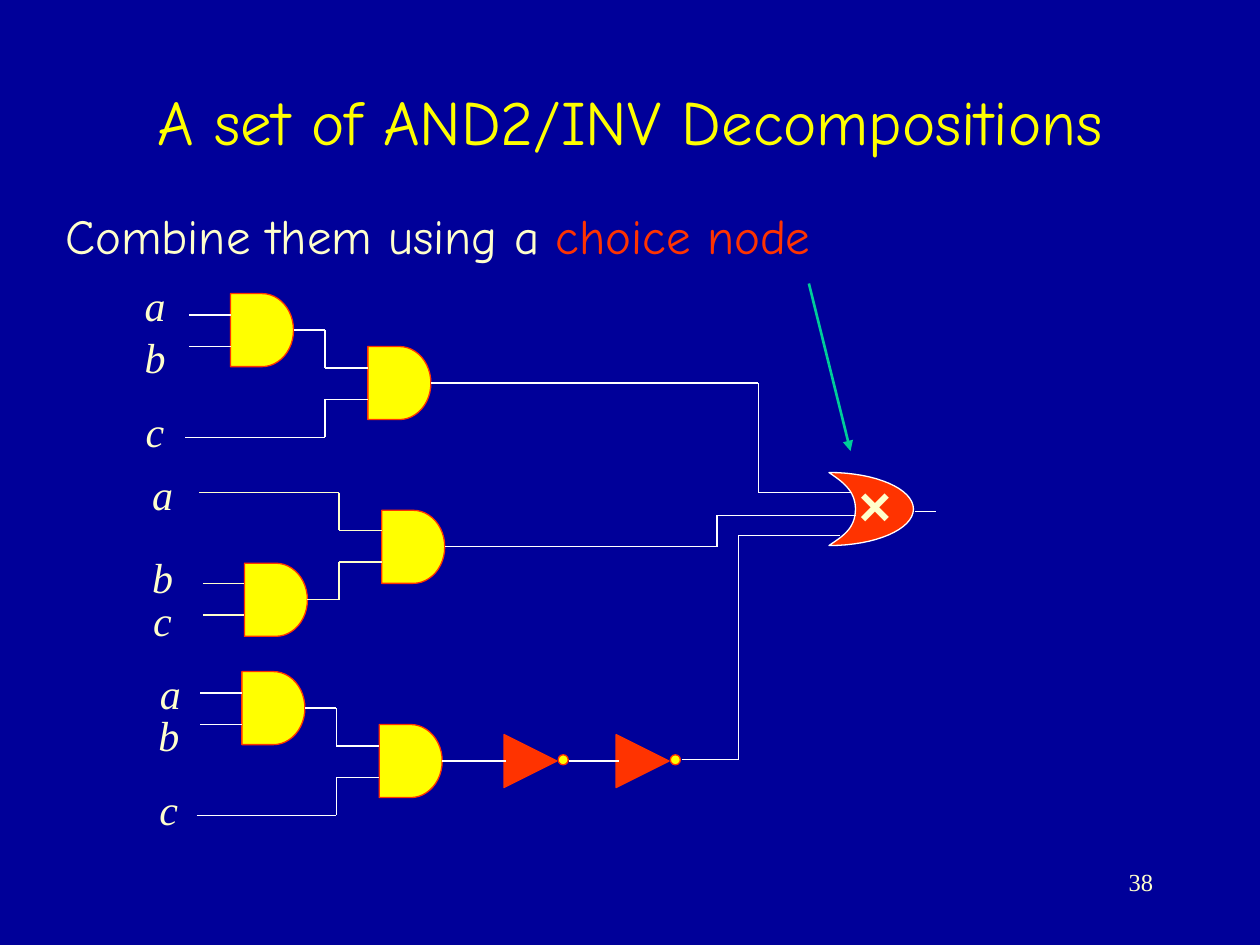
from itertools import pairwise

from lxml.etree import SubElement
from pptx import Presentation
from pptx.dml.color import RGBColor as RGB
from pptx.enum.shapes import MSO_CONNECTOR as Link, MSO_SHAPE as Kind
from pptx.enum.text import MSO_ANCHOR as Anchor, PP_ALIGN as Align
from pptx.oxml.ns import qn
from pptx.util import Inches, Pt


class Theme:
    back = RGB(0x00, 0x00, 0x99)
    yellow = RGB(0xFF, 0xFF, 0x00)
    cream = RGB(0xFF, 0xFF, 0xCC)
    red = RGB(0xFF, 0x33, 0x00)
    white = RGB(0xFF, 0xFF, 0xFF)
    green = RGB(0x00, 0xCC, 0x99)
    comic, serif, sans = "Comic Neue", "Times New Roman", "Arial"
    title, body, label, cross, number = Pt(36), Pt(28), Pt(24), Pt(32), Pt(14)
    thin, bold = Pt(0.75), Pt(1.5)


prs = Presentation()
prs.slide_width, prs.slide_height = Inches(10), Inches(7.5)
slide = prs.slides.add_slide(prs.slide_layouts[5])
slide.background.fill.solid()
slide.background.fill.fore_color.rgb = Theme.back
shapes = slide.shapes


def wire(points, color=Theme.white, width=Theme.thin, gate=None):
    """Join the points by straight lines, starting at the gate's output if given."""
    for start, end in pairwise(points):
        line = shapes.add_connector(Link.STRAIGHT, *map(Inches, start + end))
        if gate is not None and start == points[0]:
            line.begin_connect(gate, 3)
        line.line.color.rgb = color
        line.line.width = width
        SubElement(line._element.spPr, qn("a:effectLst"))
    return line


def paint(shape, fill, edge=Theme.red):
    shape.shadow.inherit = False
    shape.fill.solid()
    shape.fill.fore_color.rgb = fill
    shape.line.color.rgb = edge
    shape.line.width = Theme.thin
    return shape


# Title
title = shapes.title
title.left, title.top = Inches(0.25), Inches(0.33)
title.width, title.height = Inches(9.5), Inches(1.25)
title.text_frame.text = "A set of AND2/INV Decompositions"
title.text_frame.vertical_anchor = Anchor.MIDDLE
para = title.text_frame.paragraphs[0]
para.alignment = Align.CENTER
para.font.name, para.font.size = Theme.comic, Theme.title
para.font.color.rgb = Theme.yellow

# Two-gate trees: left and top of the tree, flipped or not, wire colour
SIZE = Inches(0.5), Inches(0.58)
TALL = 1.0
trees = [
    (1.83, 2.33, False, Theme.white),
    (1.94, 4.05, True, Theme.cream),
    (1.92, 5.33, False, Theme.white),
]
outs = []
for x, top, flip, color in trees:
    base, sign = (top + TALL, -1) if flip else (top, 1)
    gates = []
    for dx, dy in ((0, 0), (1.09, 0.42)):
        y = base - dy - 0.58 if flip else base + dy
        gate = shapes.add_shape(Kind.FLOWCHART_DELAY, Inches(x + dx), Inches(y), *SIZE)
        gates.append(paint(gate, Theme.yellow))
    for dy in (0.17, 0.42):
        wire([(x - 0.33, base + sign * dy), (x, base + sign * dy)], color)
    first = [(0.5, 0.29), (0.75, 0.29), (0.75, 0.59), (1.09, 0.59)]
    third = [(-0.36, 1.14), (0.75, 1.14), (0.75, 0.84), (1.09, 0.84)]
    for bends, gate in ((first, gates[0]), (third, None)):
        wire([(x + dx, base + sign * dy) for dx, dy in bends], color, gate=gate)
    outs.append((gates[1], (x + 1.59, base + sign * 0.71)))

# Input labels
labels = [
    ("a", 1.05, 2.17), ("b", 1.05, 2.58), ("c", 1.05, 3.17),
    ("a", 1.11, 3.67), ("b", 1.11, 4.33), ("c", 1.11, 4.67),
    ("a", 1.17, 5.25), ("b", 1.16, 5.58), ("c", 1.16, 6.17),
]
for text, x, y in labels:
    box = shapes.add_textbox(Inches(x), Inches(y), Inches(0.36), Inches(0.5))
    box.text_frame.word_wrap = False
    box.text_frame.vertical_anchor = Anchor.MIDDLE
    para = box.text_frame.paragraphs[0]
    para.text = text
    para.alignment = Align.CENTER
    para.font.name, para.font.size = Theme.serif, Theme.label
    para.font.italic = True
    para.font.color.rgb = Theme.cream

# Inverters
for x in (4, 4.89):
    cone = shapes.add_shape(Kind.ISOSCELES_TRIANGLE, Inches(x), Inches(5.83),
                            Inches(0.42), Inches(0.42))
    cone.rotation = 90
    paint(cone, Theme.red)
    dot = shapes.add_shape(Kind.OVAL, Inches(x + 0.43), Inches(5.99),
                           Inches(0.08), Inches(0.08))
    paint(dot, Theme.yellow)
wire([(4.52, 6.04), (4.91, 6.04)])

# Choice node: each curve has a start, two controls and an end
curves = [
    ((6.58, 3.75), (6.68, 3.82), (6.79, 3.89), (6.79, 4.04)),
    ((6.79, 4.04), (6.79, 4.2), (6.68, 4.26), (6.58, 4.33)),
    ((6.58, 4.33), (6.95, 4.33), (7.25, 4.2), (7.25, 4.04)),
    ((7.25, 4.04), (7.25, 3.88), (6.95, 3.75), (6.58, 3.75)),
]
STEPS = 16
edge = []
for curve in curves:
    for t in (i / STEPS for i in range(1, STEPS + 1)):
        parts = ((1 - t) ** 3, 3 * t * (1 - t) ** 2, 3 * t * t * (1 - t), t ** 3)
        edge.append(tuple(Inches(sum(w * p[axis] for w, p in zip(parts, curve)))
                          for axis in (0, 1)))
pen = shapes.build_freeform(*edge[-1])
pen.add_line_segments(edge, close=True)
paint(pen.convert_to_shape(), Theme.red, Theme.white)

box = shapes.add_textbox(Inches(6.67), Inches(3.68), Inches(0.55), Inches(0.64))
box.text_frame.word_wrap = False
box.text_frame.vertical_anchor = Anchor.MIDDLE
para = box.text_frame.paragraphs[0]
para.text = "×"
para.alignment = Align.CENTER
para.font.name, para.font.size, para.font.bold = Theme.sans, Theme.cross, True
para.font.color.rgb = Theme.cream

# Wires from the trees to the choice node
routes = [
    [(6.02, 3.04), (6.02, 3.91), (6.75, 3.91)],
    [(5.69, 4.34), (5.69, 4.09), (6.79, 4.09)],
    [(4.02, 6.04)],
]
for (gate, start), route in zip(outs, routes):
    wire([start] + route, gate=gate)
wire([(5.41, 6.03), (5.86, 6.03), (5.86, 4.25), (6.67, 4.25)])
wire([(7.26, 4.06), (7.43, 4.06)])

# Statement and its arrow
box = shapes.add_textbox(Inches(0.42), Inches(1.58), Inches(9.17), Inches(0.92))
box.text_frame.word_wrap = True
para = box.text_frame.paragraphs[0]
para.space_before = Pt(7)
para.font.name, para.font.size = Theme.comic, Theme.body
for text, color in (("Combine them using a ", Theme.cream), ("choice node", Theme.red)):
    run = para.add_run()
    run.text = text
    run.font.color.rgb = color

arrow = wire([(6.42, 2.25), (6.75, 3.58)], Theme.green, Theme.bold)
SubElement(arrow.line._get_or_add_ln(), qn("a:tailEnd"), type="triangle")

# Slide number
box = shapes.add_textbox(Inches(7.17), Inches(6.83), Inches(2.08), Inches(0.5))
box.text_frame.word_wrap = True
para = box.text_frame.paragraphs[0]
para.text = "38"
para.alignment = Align.RIGHT
para.font.name, para.font.size = Theme.serif, Theme.number
para.font.color.rgb = Theme.cream

prs.save("out.pptx")
